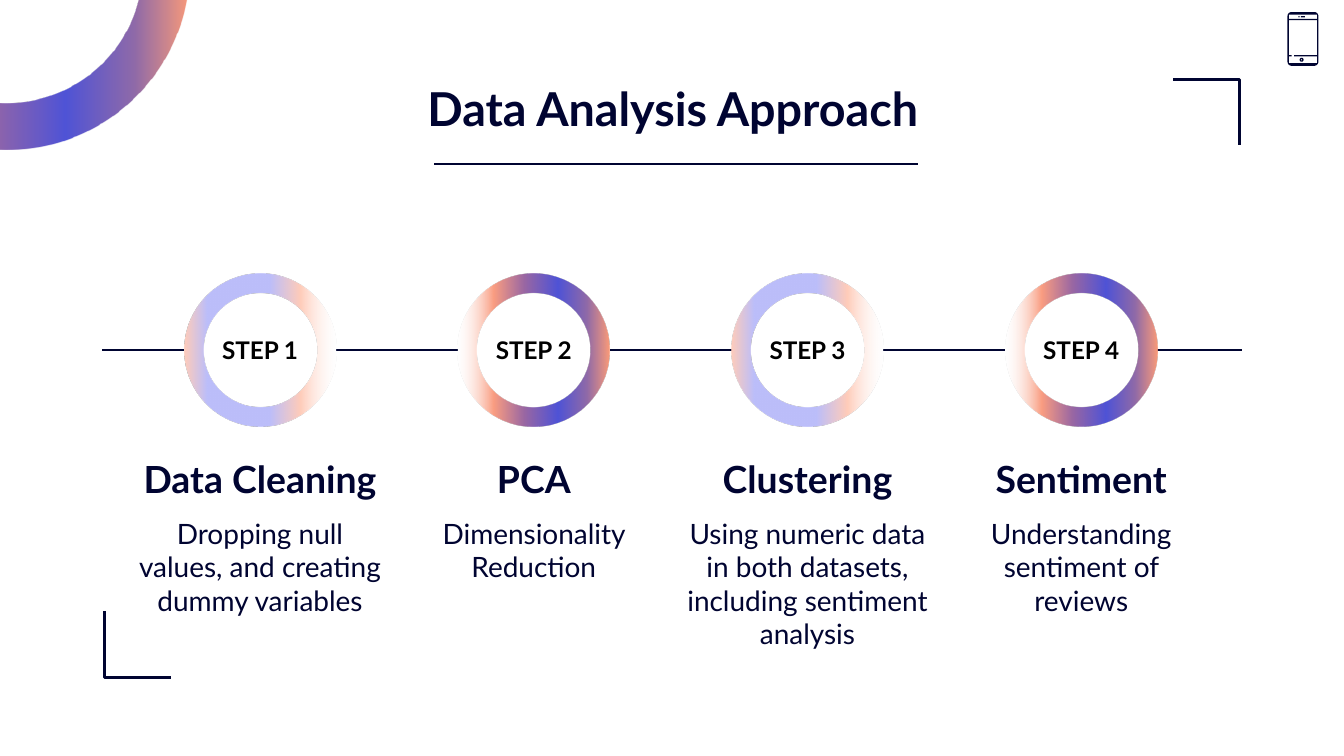
import math

from lxml import etree
from pptx import Presentation
from pptx.dml.color import RGBColor
from pptx.enum import shapes, text
from pptx.oxml.ns import qn
from pptx.util import Inches, Pt

FONT = "Lato"
NAVY = RGBColor(0x00, 0x04, 0x31)
BLACK = RGBColor(0, 0, 0)
WHITE = RGBColor(0xFF, 0xFF, 0xFF)
STOPS = (0, 15, 34, 56, 76, 100)
VIVID = [RGBColor.from_string(c) for c in ("FB9B79", "906AA8", "4F53D6", "9A67A3", "FA9D81", "FFFFFF")]
PASTEL = [RGBColor.from_string(c) for c in ("FFCCBA", "BCBEFA", "BCBEFA", "BCBEFA", "FFCCBA", "FFFFFF")]
RING_BAND = 0.128

STEPS = [
    ("Data Cleaning", "Dropping null values, and creating dummy variables"),
    ("PCA", "Dimensionality Reduction"),
    ("Clustering", "Using numeric data in both datasets, including sentiment analysis"),
    ("Sentiment", "Understanding sentiment of reviews"),
]


def write(shape, words, size, color, bold=False, anchor=text.MSO_ANCHOR.MIDDLE):
    frame = shape.text_frame
    frame.word_wrap = True
    frame.auto_size = text.MSO_AUTO_SIZE.NONE
    frame.vertical_anchor = anchor
    frame.margin_left = frame.margin_right = Inches(0.1)
    frame.margin_top = frame.margin_bottom = Inches(0.1)
    paragraph = frame.paragraphs[0]
    paragraph.alignment = text.PP_ALIGN.CENTER
    run = paragraph.add_run()
    run.text = words
    run.font.name = FONT
    run.font.size = Pt(size)
    run.font.bold = bold
    run.font.color.rgb = color


def add_text(slide, left, top, width, height, words, size, **style):
    box = slide.shapes.add_textbox(Inches(left), Inches(top), Inches(width), Inches(height))
    write(box, words, size, NAVY, **style)


def add_rule(slide, x1, x2, y):
    rule = slide.shapes.add_connector(
        shapes.MSO_CONNECTOR.STRAIGHT, Inches(x1), Inches(y), Inches(x2), Inches(y))
    rule.line.color.rgb = NAVY
    rule.line.width = Pt(1.5)
    etree.SubElement(rule._element.spPr, qn("a:effectLst"))


def add_preset(slide, kind, left, top, width, height):
    shape = slide.shapes.add_shape(kind, Inches(left), Inches(top), Inches(width), Inches(height))
    shape.shadow.inherit = False
    shape.line.fill.background()
    shape.fill.solid()
    shape.fill.fore_color.rgb = NAVY
    return shape


def add_ring(slide, left, top, size, colors, angle):
    """Donut whose gradient runs at the given angle and fades out at its last stop."""
    ring = add_preset(slide, shapes.MSO_SHAPE.DONUT, left, top, size, size)
    ring.adjustments[0] = RING_BAND
    ring.fill.gradient()
    ring.fill.gradient_angle = angle
    stop_list = ring._element.spPr.find(qn("a:gradFill")).find(qn("a:gsLst"))
    for stop in list(stop_list):
        stop_list.remove(stop)
    for position, color in zip(STOPS, colors):
        stop = etree.SubElement(stop_list, qn("a:gs"), pos=str(position * 1000))
        shade = etree.SubElement(stop, qn("a:srgbClr"), val=str(color))
        if position == 100:
            etree.SubElement(shade, qn("a:alpha"), val="16000")
    return ring


def add_outline(slide, left, top, contours, close=True):
    """Freeform whose contours are given in inches from left and top."""
    placed = [[(Inches(left + x), Inches(top + y)) for x, y in contour] for contour in contours]
    builder = slide.shapes.build_freeform(*placed[0][0])
    builder.add_line_segments(placed[0][1:], close=close)
    for contour in placed[1:]:
        builder.move_to(*contour[0])
        builder.add_line_segments(contour[1:], close=close)
    outline = builder.convert_to_shape()
    outline.shadow.inherit = False
    return outline


def rounded_corners(width, height, radius):
    points = []
    centers = [(width - radius, height - radius), (radius, height - radius),
               (radius, radius), (width - radius, radius)]
    for quarter, (x, y) in enumerate(centers):
        for degrees in range(0, 91, 15):
            turn = math.radians(quarter * 90 + degrees)
            points.append((x + radius * math.cos(turn), y + radius * math.sin(turn)))
    return points


def add_bracket(slide, left, top, points):
    bracket = add_outline(slide, left, top, [points], close=False)
    bracket.fill.background()
    bracket.line.color.rgb = NAVY
    bracket.line.width = Pt(1.5)


def add_frame(slide, left, top, width, height, arm=0.49):
    """Brackets at the top right and bottom left corners of the box."""
    add_bracket(slide, left + width - arm, top, [(0, 0), (arm, 0), (arm, arm)])
    add_bracket(slide, left, top + height - arm, [(0, 0), (0, arm), (arm, arm)])


def add_title(slide, left, top, width, height):
    title = slide.shapes.title
    title.left, title.top = Inches(left), Inches(top)
    title.width, title.height = Inches(width), Inches(height)
    write(title, "Data Analysis Approach", 25, NAVY, bold=True)
    add_rule(slide, left + 2.44, left + 6.04, top + 0.73)


def add_timeline(slide, left, top, width):
    ring_size, column_width = 1.13, 2.05
    first, last = left + 0.61, left + 6.72
    pitch = (last - first) / (len(STEPS) - 1)
    rings = [first + i * pitch for i in range(len(STEPS))]
    starts = [left] + [ring + ring_size for ring in rings]
    ends = rings + [left + width]
    for start, end in zip(starts, ends):
        add_rule(slide, start, end, top + ring_size / 2)
    for i, (ring_left, (heading, detail)) in enumerate(zip(rings, STEPS)):
        colors, angle = (VIVID, 180) if i % 2 else (PASTEL, 0)
        ring = add_ring(slide, ring_left, top, ring_size, colors, angle)
        write(ring, f"STEP {i + 1}", 13, BLACK, bold=True)
        column = ring_left + (ring_size - column_width) / 2
        add_text(slide, column, top + 1.23, column_width, 0.58, heading, 20, bold=True)
        add_text(slide, column, top + 1.7, column_width, 0.69, detail, 15,
                 anchor=text.MSO_ANCHOR.TOP)


def add_phone(slide, left, top, width, height):
    edge = width - 0.01
    earpiece = [(0.01, 0.02), (edge, 0.02), (edge, 0.05), (0.01, 0.05)]
    screen = [(0.01, 0.06), (edge, 0.06), (edge, 0.32), (0.05, 0.32), (0.05, 0.33), (edge, 0.33),
              (edge, 0.38), (0.01, 0.38), (0.01, 0.33), (0.03, 0.33), (0.03, 0.32), (0.01, 0.32)]
    body = add_outline(slide, left, top, [rounded_corners(width, height, 0.03), earpiece, screen])
    body.fill.solid()
    body.fill.fore_color.rgb = NAVY
    body.line.fill.background()
    add_preset(slide, shapes.MSO_SHAPE.ROUNDED_RECTANGLE, left + 0.1, top + 0.03, 0.03, 0.01)
    add_preset(slide, shapes.MSO_SHAPE.OVAL, left + 0.08, top + 0.03, 0.01, 0.01)
    button = add_preset(slide, shapes.MSO_SHAPE.DONUT, left + 0.09, top + 0.34, 0.03, 0.03)
    button.adjustments[0] = 0.33


def main():
    deck = Presentation()
    deck.slide_width = Inches(10)
    deck.slide_height = deck.slide_width * 9 // 16
    slide = deck.slides.add_slide(deck.slide_layouts.get_by_name("Title Only"))
    slide.background.fill.solid()
    slide.background.fill.fore_color.rgb = WHITE
    add_frame(slide, 0.78, 0.59, 8.44, 4.45)
    add_title(slide, 0.79, 0.49, 8.43, 0.63)
    add_timeline(slide, 0.76, 2.04, 8.48)
    add_ring(slide, -1.32, -1.62, 2.73, VIVID, 180)
    add_phone(slide, 9.58, 0.09, 0.23, 0.4)
    deck.save("out.pptx")


if __name__ == "__main__":
    main()
